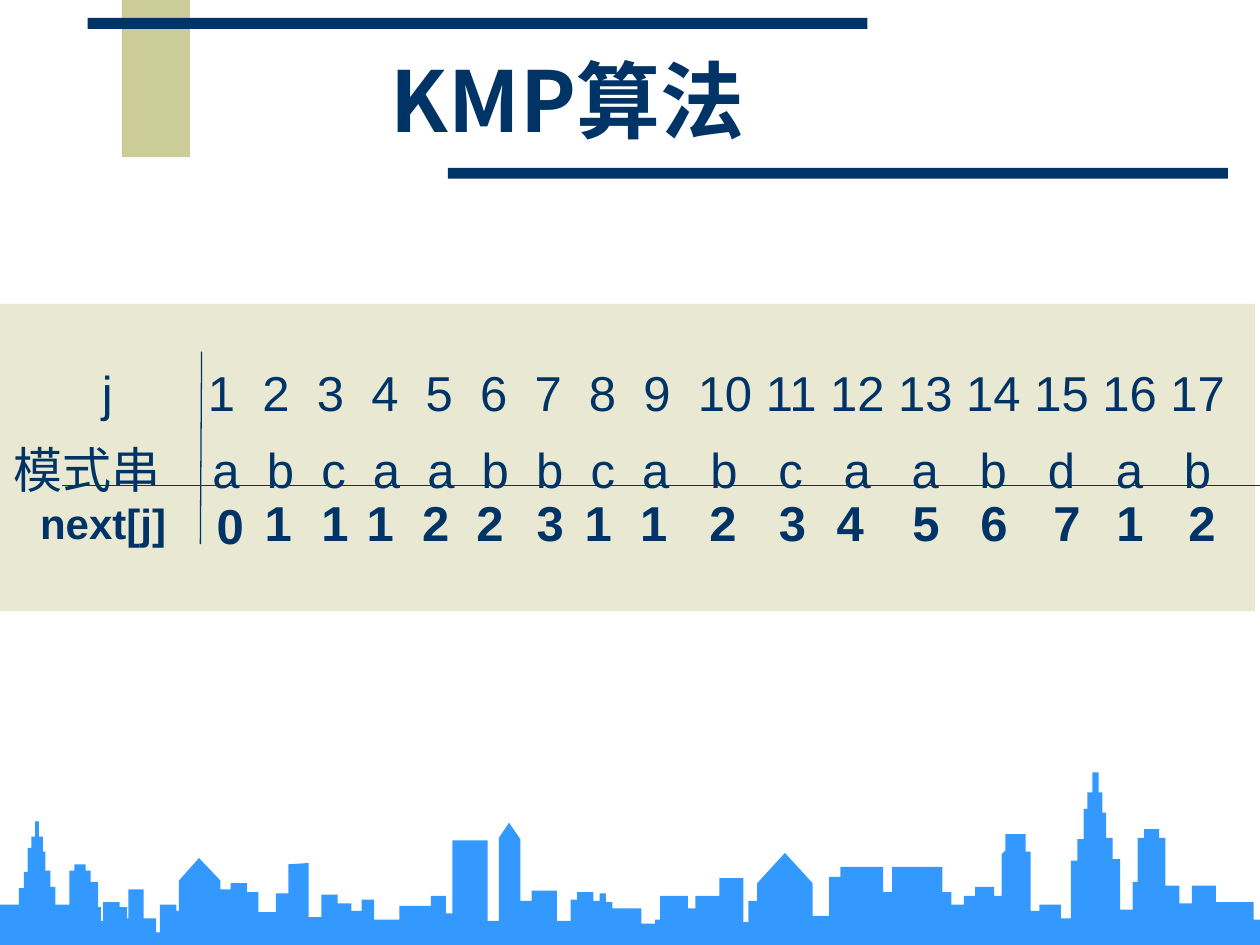
from lxml import etree
from pptx import Presentation
from pptx.dml.color import RGBColor
from pptx.enum import shapes, text
from pptx.oxml.ns import qn
from pptx.util import Pt

NAVY = RGBColor(0x00, 0x33, 0x66)
KHAKI = RGBColor(0xCC, 0xCC, 0x99)
OLIVE = RGBColor(0xAE, 0xAE, 0x5D)
SKY = RGBColor(0x33, 0x99, 0xFF)

prs = Presentation()
prs.slide_width, prs.slide_height = Pt(720), Pt(540)
slide = prs.slides.add_slide(prs.slide_layouts[1])
title, rows = slide.placeholders


def add_run(paragraph, words, size, font="Arial", bold=False):
    run = paragraph.add_run()
    run.text = words
    run.font.size, run.font.name, run.font.bold = Pt(size), font, bold
    run.font.color.rgb = NAVY
    east_asian = etree.SubElement(run.font._element, qn("a:ea"))
    east_asian.set("typeface", "Noto Sans CJK JP")
    return run


def paint(shape, color):
    shape.shadow.inherit = False
    shape.fill.solid()
    shape.fill.fore_color.rgb = color
    shape.line.fill.background()


# Title bars and the panel, kept behind the text
for left, top, width, height, color in [
    (69.7, 0, 38.9, 89.8, KHAKI),
    (50, 10.2, 445.7, 6.3, NAVY),
    (256, 95.9, 445.7, 6.3, NAVY),
    (0, 173.6, 717.1, 175.6, OLIVE),
]:
    block = slide.shapes.add_shape(
        shapes.MSO_SHAPE.RECTANGLE, Pt(left), Pt(top), Pt(width), Pt(height))
    paint(block, color)
    title._element.addprevious(block._element)
    if color == OLIVE:
        tint = block.fill._xPr.find(".//" + qn("a:srgbClr"))
        etree.SubElement(tint, qn("a:alpha")).set("val", "27000")

# Title
title.left, title.top, title.width, title.height = Pt(72), Pt(36.2), Pt(504.7), Pt(40.3)
title.text_frame.vertical_anchor = text.MSO_ANCHOR.MIDDLE
title.text_frame.auto_size = text.MSO_AUTO_SIZE.NONE
heading = title.text_frame.paragraphs[0]
heading.alignment = text.PP_ALIGN.CENTER
add_run(heading, "KMP算法", 48, "Noto Sans CJK JP", True)

# Index row and pattern row; gaps are single spaces widened to a number of space widths
SPACE = 7.78
rows.left, rows.top, rows.width, rows.height = Pt(0.7), Pt(193.7), Pt(743.8), Pt(153.4)
rows.text_frame.auto_size = text.MSO_AUTO_SIZE.NONE
for number, (cells, gaps, indent) in enumerate([
    (["j", *map(str, range(1, 18))], [7] + [2] * 9 + [1] * 7, 50.3),
    (["模式串", *"abcaabbcabcaabdab"], [4] + [2] * 8 + [3] * 8, 0),
]):
    frame = rows.text_frame
    row = frame.add_paragraph() if number else frame.paragraphs[0]
    row.line_spacing = 1.3
    row.space_before = Pt(0)
    props = row._p.get_or_add_pPr()
    props.set("marL", "0")
    props.set("indent", str(Pt(indent)))
    etree.SubElement(props, qn("a:buNone"))
    add_run(row, cells[0], 28)
    for cell, gap in zip(cells[1:], gaps):
        space = add_run(row, " ", 28)
        space.font._element.set("spc", str(round((gap - 1) * SPACE * 100)))
        add_run(row, cell, 28)

# Row of next[j] values
next_label = slide.shapes.add_textbox(Pt(15.8), Pt(280.8), Pt(92.9), Pt(36)).text_frame
next_label.word_wrap = True
add_run(next_label.paragraphs[0], "next[j]", 24, bold=True)

next_lefts = [123.8, 151.2, 183.6, 209.5, 241.2, 272.2, 306.7, 334.1, 365.8,
              405.4, 445, 478.1, 521.3, 560.2, 601.9, 637.9, 679]
for left, value in zip(next_lefts, "01112231123456712"):
    top = 283 if value == "0" else 281.5
    frame = slide.shapes.add_textbox(Pt(left), Pt(top), Pt(13.7), Pt(33.8)).text_frame
    frame.margin_left = frame.margin_right = frame.margin_top = frame.margin_bottom = 0
    frame.word_wrap = False
    add_run(frame.paragraphs[0], value, 28, bold=True)

# Rules between the rows and after the labels
for x1, y1, x2, y2 in [(35.3, 277.4, 721.4, 277.4), (114.5, 311, 115.2, 200.9)]:
    rule = slide.shapes.add_connector(
        shapes.MSO_CONNECTOR.STRAIGHT, Pt(x1), Pt(y1), Pt(x2), Pt(y2))
    rule.line.color.rgb = NAVY
    rule.line.width = Pt(0.75)
    etree.SubElement(rule._element.spPr, qn("a:effectLst"))

# Skyline from right to left, in units of 0.72 pt: (right edge, roof height)
roofs = [
    (1000, 730), (995, 716), (965, 703), (946, 717), (936, 703), (925, 665), (920, 658),
    (908, 665), (903, 700), (899, 722), (889, 682), (883, 665), (878, 645), (875, 629),
    (872, 613), (867, 629), (863, 642), (860, 666), (855, 683), (850, 729), (842, 718),
    (825, 723), (818, 676), (814, 662), (798, 675), (795, 678), (795, 711), (789, 704),
    (774, 711), (765, 718), (755, 708), (748, 688), (708, 708), (701, 688), (667, 696),
    (658, 727), (645, 701), (623, 677), (601, 701), (601, 715), (594, 732), (590, 697),
    (571, 711), (552, 721), (546, 711), (524, 730), (520, 733), (509, 721), (486, 716),
    (481, 709), (476, 715), (471, 708), (458, 714), (453, 731), (442, 707), (422, 715),
    (413, 666), (404, 653), (396, 665), (396, 731), (387, 667), (359, 725), (354, 711),
    (342, 719), (317, 730), (297, 714), (287, 723), (279, 717), (268, 710), (255, 728),
    (245, 685), (229, 686), (229, 709), (219, 724), (205, 708), (196, 701), (183, 706),
    (175, 699), (158, 681), (142, 699), (142, 723), (140, 718), (127, 740), (124, 729),
    (114, 706), (102, 729), (101, 720), (95, 716), (82, 731), (80, 720), (78, 700),
    (72, 691), (68, 686), (59, 691), (55, 718), (44, 704), (40, 691), (36, 676),
    (34, 664), (31, 652), (28, 664), (25, 673), (22, 692), (19, 705), (15, 718), (0, 750),
]
slopes = {(795, 678), (623, 677), (601, 701), (404, 653), (396, 665), (229, 686),
          (158, 681), (142, 699)}
outline, ground = [], 750
for edge, roof in roofs:
    if (edge, roof) not in slopes:
        outline.append((edge, ground))
    outline.append((edge, roof))
    ground = roof
city = slide.shapes.build_freeform(1000, 750, scale=Pt(0.72))
city.add_line_segments(outline, close=True)
paint(city.convert_to_shape(), SKY)

prs.save("out.pptx")
